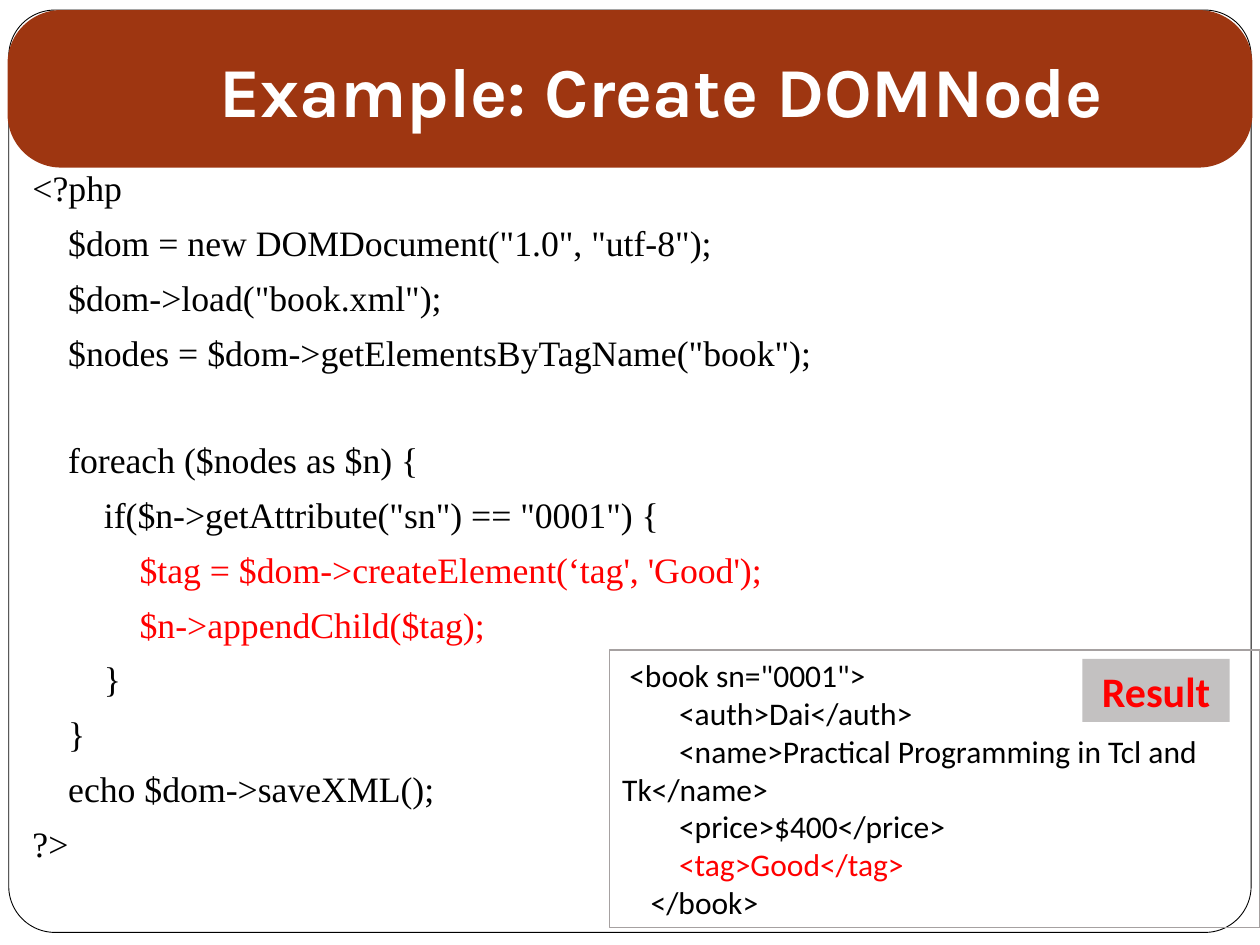
from pptx import Presentation
from pptx.dml.color import RGBColor
from pptx.enum.shapes import MSO_SHAPE
from pptx.enum.text import MSO_ANCHOR, PP_ALIGN
from pptx.util import Inches, Pt

ROUNDED, RECTANGLE = MSO_SHAPE.ROUNDED_RECTANGLE, MSO_SHAPE.RECTANGLE
LEFT, CENTER = PP_ALIGN.LEFT, PP_ALIGN.CENTER
TOP, MIDDLE = MSO_ANCHOR.TOP, MSO_ANCHOR.MIDDLE
BLACK, WHITE, RED = "000000", "FFFFFF", "FF0000"

CODE = """<?php
    $dom = new DOMDocument("1.0", "utf-8");
    $dom->load("book.xml");
    $nodes = $dom->getElementsByTagName("book");
    foreach ($nodes as $n) {
        if($n->getAttribute("sn") == "0001") {
            $tag = $dom->createElement(‘tag', 'Good');
            $n->appendChild($tag);
        }
    }
    echo $dom->saveXML();
?>""".split("\n")

RESULT = """ <book sn="0001">
        <auth>Dai</auth>
        <name>Practical Programming in Tcl and Tk</name>
        <price>$400</price>
        <tag>Good</tag>
    </book>""".split("\n")


def add_panel(kind, left, top, width, height, fill=None, line=None, line_width=0.5):
    panel = page.shapes.add_shape(kind, Inches(left), Inches(top), Inches(width), Inches(height))
    panel.shadow.inherit = False
    if fill:
        panel.fill.solid()
        panel.fill.fore_color.rgb = RGBColor.from_string(fill)
    else:
        panel.fill.background()
    if line:
        panel.line.color.rgb = RGBColor.from_string(line)
        panel.line.width = Pt(line_width)
    else:
        panel.line.fill.background()
    return panel


def write_lines(box, lines, font, size, color=BLACK, bold=False, align=LEFT, anchor=TOP, red_lines=()):
    """Fill the box with one paragraph per line; red_lines holds the indexes to highlight."""
    frame = box.text_frame
    frame.word_wrap = True
    frame.vertical_anchor = anchor
    frame.text = "\n".join(lines)
    for index, para in enumerate(frame.paragraphs):
        para.alignment = align
        for span in para.runs:
            span.font.name = font
            span.font.size = Pt(size)
            span.font.bold = bold
            span.font.color.rgb = RGBColor.from_string(RED if index in red_lines else color)
    return frame


deck = Presentation()
deck.slide_width, deck.slide_height = Inches(10), Inches(7.5)
page = deck.slides.add_slide(deck.slide_layouts[6])

# Frame and title band
border = add_panel(ROUNDED, 0.07, 0.08, 9.86, 7.32, fill=WHITE, line=BLACK)
border.adjustments[0] = 0.05
band = add_panel(ROUNDED, 0.06, 0.08, 9.88, 1.25, fill="9E3611")
band.adjustments[0] = 0.34

title = page.shapes.add_textbox(Inches(1), Inches(0.11), Inches(8.5), Inches(1.25))
title_frame = write_lines(title, ["Example: Create DOMNode"], "Karla", 40, WHITE, True, CENTER, MIDDLE)
title_frame.margin_bottom = Inches(0.1)

# PHP code, with a one-line gap before the loop
code = page.shapes.add_textbox(Inches(0.16), Inches(1.27), Inches(9), Inches(5.5))
code_frame = write_lines(code, CODE, "Times New Roman", 20.4, red_lines=(6, 7))
for para in code_frame.paragraphs[1:]:
    para.space_before = Pt(37 if "foreach" in para.text else 6.8)

# Resulting XML
result = add_panel(RECTANGLE, 4.84, 5.16, 5.16, 2.2, line="A6A1A1", line_width=0.75)
write_lines(result, RESULT, "Calibri", 18, red_lines=(4,))
label = add_panel(RECTANGLE, 8.59, 5.23, 1.17, 0.5, fill="C3C1C1")
write_lines(label, ["Result"], "Calibri", 24, RED, True, CENTER)

deck.save("out.pptx")
